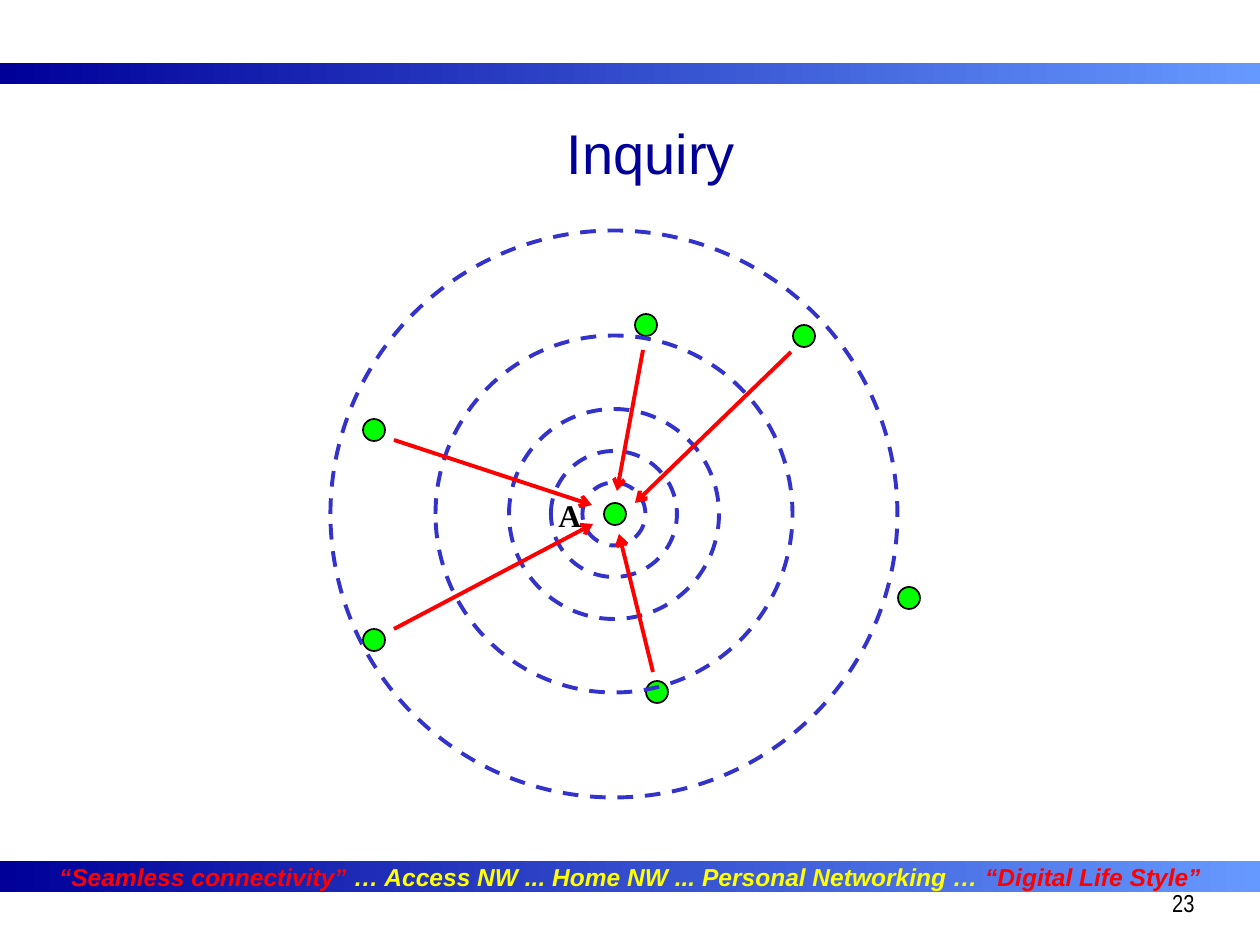
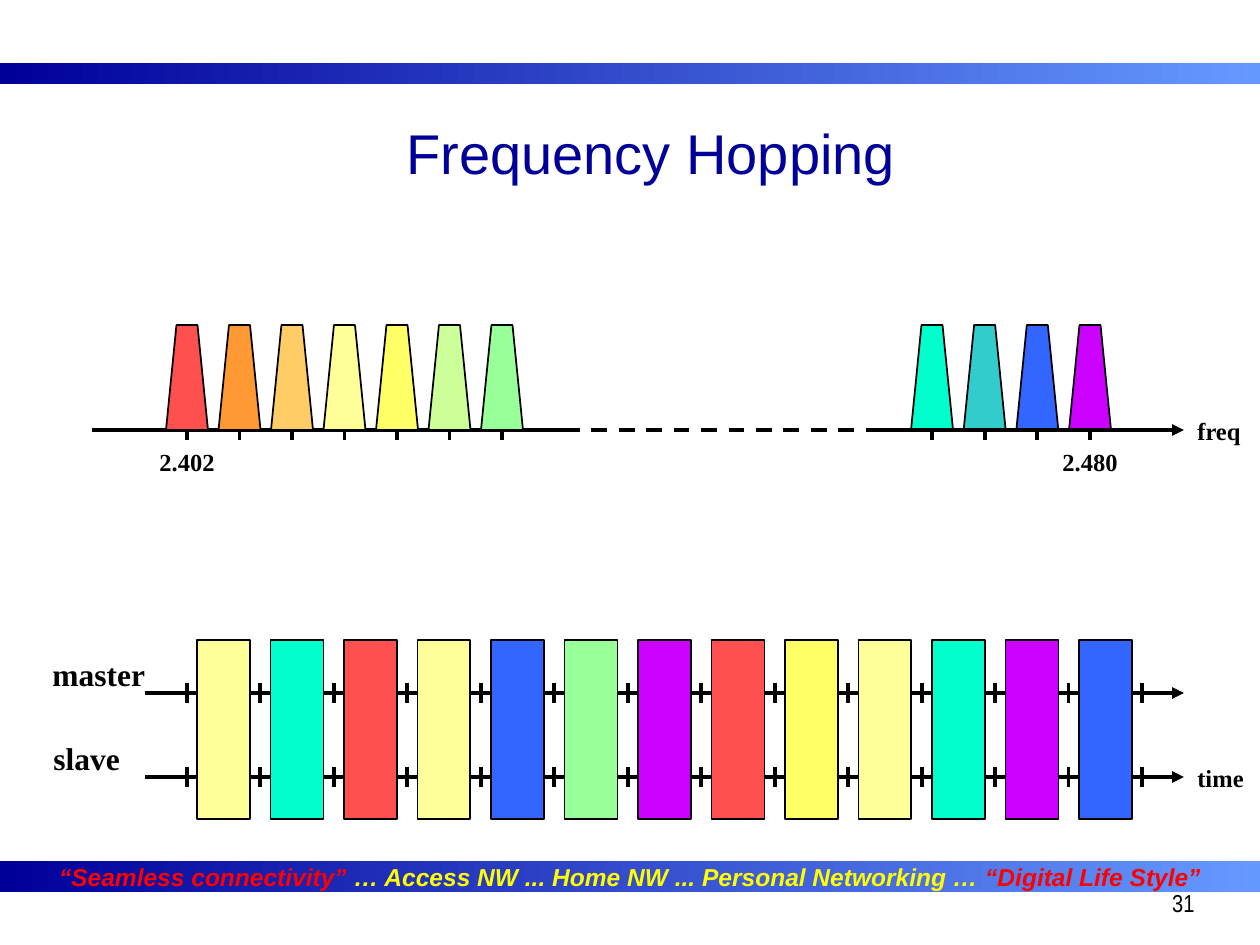
from dataclasses import dataclass

from lxml.etree import SubElement
from pptx import Presentation
from pptx.dml.color import RGBColor
from pptx.enum.dml import MSO_LINE_DASH_STYLE as Dash
from pptx.enum.shapes import MSO_CONNECTOR as Conn, MSO_SHAPE as Kind
from pptx.enum.text import MSO_ANCHOR as Anchor, MSO_AUTO_SIZE as Fit
from pptx.enum.text import PP_ALIGN as Align
from pptx.oxml.ns import qn
from pptx.util import Pt


@dataclass(frozen=True)
class Theme:
    navy: str = "000099"
    sky: str = "6699FF"
    ring: str = "3333CC"
    node: str = "00FF00"
    red: str = "FF0000"
    gold: str = "FFFF00"
    black: str = "000000"
    sans: str = "Arial"
    slim: str = "Arial Narrow"
    serif: str = "Times New Roman"
    head: int = 32
    label: int = 18
    small: int = 14
    thin: float = 1
    thick: float = 2.25


T = Theme()
SCALE = 914400 / 126  # EMU in one px
WIDE, HIGH = 1260, 945

# Shared parts
TOP_BAND = (0, 63, WIDE, 21)
LOW_BAND = (0, 861, WIDE, 31)
TITLE_BOX = (84, 116, 1134, 73)
PAGE_BOX = (945, 882, 262, 63)
MOTTO = [
    ("“Seamless connectivity”", T.red),
    (" … Access NW ... Home NW ... Personal Networking … ", T.gold),
    ("“Digital Life Style”", T.red),
]

# Inquiry: node centres, ring diameters, replies to A
NODES = [(804, 336), (374, 430), (646, 325), (615, 514),
         (909, 598), (657, 692), (374, 640)]
NODE_SIZE = 22
HUB = (614, 514)
RINGS = [63, 126, 210, 357, 567]
REPLIES = [
    ((394, 629), (593, 524)),
    ((394, 440), (592, 505)),
    ((653, 672), (619, 534)),
    ((643, 350), (617, 491)),
    ((791, 352), (635, 503)),
]
HUB_NAME = ("A", (546, 490, 48, 50), T.label)

# Frequency hopping: channel colours, then the order of hops
HUES = {
    "red": "FF5050", "orange": "FF9933", "peach": "FFCC66",
    "cream": "FFFF99", "yellow": "FFFF66", "lime": "CCFF99",
    "green": "99FF99", "mint": "00FFCC", "teal": "33CCCC",
    "blue": "3366FF", "violet": "CC00FF",
}
LOW = ["red", "orange", "peach", "cream", "yellow", "lime", "green"]
UPPER = ["mint", "teal", "blue", "violet"]
PEAKS = [(187, 502, LOW), (932, 1090, UPPER)]  # first and last centre
PEAK_TOP, FREQ_Y = 325, 430
HOPS = ["cream", "mint", "red", "cream", "blue", "green", "violet",
        "red", "yellow", "cream", "mint", "violet", "blue"]
HOP_ENDS = (197, 1079)
HOP_TOP, HOP_WIDE, HOP_HIGH = 640, 53, 179
SLOT_ENDS = (187, 1142)
TIME_ROWS = [693, 777]
AXIS_END = 1184
TICK = 10
NAMES = [
    ("2.402", (147, 441, 82, 43), T.small),
    ("2.480", (1050, 441, 82, 43), T.small),
    ("freq", (1185, 410, 69, 43), T.small),
    ("time", (1185, 757, 73, 43), T.small),
    ("slave", (41, 733, 92, 50), T.label),
    ("master", (40, 649, 120, 50), T.label),
]


def emu(*px):
    return [round(n * SCALE) for n in px]


def rgb(code):
    return RGBColor.from_string(code)


def spread(first, last, count):
    """Evenly spaced places from first to last."""
    step = (last - first) / (count - 1)
    return [first + step * i for i in range(count)]


def write(shape, runs, size, font, align=Align.LEFT, wrap=False,
          anchor=Anchor.TOP, bold=False, slant=False):
    """Put one paragraph of (text, colour) runs into a shape."""
    frame = shape.text_frame
    frame.word_wrap = wrap
    frame.vertical_anchor = anchor
    para = frame.paragraphs[0]
    para.alignment = align
    for text, hue in runs:
        run = para.add_run()
        run.text = text
        run.font.size = Pt(size)
        run.font.name = font
        run.font.bold = bold
        run.font.italic = slant
        run.font.color.rgb = rgb(hue)


def label(slide, text, box, size):
    shape = slide.shapes.add_textbox(*emu(*box))
    write(shape, [(text, T.black)], size, T.serif, bold=True)
    shape.text_frame.auto_size = Fit.SHAPE_TO_FIT_TEXT


def paint(shape, fill, edge, width):
    shape.shadow.inherit = False
    if fill:
        shape.fill.solid()
        shape.fill.fore_color.rgb = rgb(fill)
    else:
        shape.fill.background()
    shape.line.color.rgb = rgb(edge)
    shape.line.width = Pt(width)


def disc(slide, centre, size, fill, edge, width):
    x, y = centre
    box = emu(x - size / 2, y - size / 2, size, size)
    shape = slide.shapes.add_shape(Kind.OVAL, *box)
    paint(shape, fill, edge, width)
    return shape


def rule(slide, start, end, hue=T.black, tip=None, dash=False):
    """Draw a straight line, with an arrowhead of type tip at its end."""
    line = slide.shapes.add_connector(Conn.STRAIGHT, *emu(*start, *end))
    line.line.color.rgb = rgb(hue)
    line.line.width = Pt(T.thick)
    if dash:
        line.line.dash_style = Dash.DASH
    props = line._element.spPr
    if tip:
        SubElement(props.find(qn("a:ln")), qn("a:tailEnd"), type=tip)
    SubElement(props, qn("a:effectLst"))


def tick(slide, x, y):
    rule(slide, (x, y - TICK), (x, y + TICK))


def band(slide, box):
    shape = slide.shapes.add_shape(Kind.RECTANGLE, *emu(*box))
    shape.shadow.inherit = False
    shape.line.fill.background()
    shape.fill.gradient()
    shape.fill.gradient_angle = 0
    for stop, hue in zip(shape.fill.gradient_stops, (T.navy, T.sky)):
        stop.color.rgb = rgb(hue)
    return shape


def start(deck, title, page):
    """Add a slide with its bands, motto, title and page number."""
    slide = deck.slides.add_slide(deck.slide_layouts[6])
    band(slide, TOP_BAND)
    write(band(slide, LOW_BAND), MOTTO, T.small, T.sans, Align.CENTER,
          anchor=Anchor.MIDDLE, bold=True, slant=True)
    add = slide.shapes.add_textbox
    write(add(*emu(*TITLE_BOX)), [(title, T.navy)], T.head, T.sans,
          Align.CENTER, wrap=True, anchor=Anchor.MIDDLE)
    write(add(*emu(*PAGE_BOX)), [(page, T.black)], T.small, T.slim,
          Align.RIGHT, wrap=True)
    return slide


def peak(slide, x, hue):
    """Draw a channel: a tapered block standing on the axis."""
    points = [(x - 21, FREQ_Y), (x + 21, FREQ_Y),
              (x + 10.5, PEAK_TOP), (x - 10.5, PEAK_TOP)]
    first, *rest = [emu(*p) for p in points]
    form = slide.shapes.build_freeform(*first, scale=1)
    form.add_line_segments(rest, close=True)
    paint(form.convert_to_shape(), hue, T.black, T.thin)


def inquiry(deck):
    slide = start(deck, "Inquiry", "23")
    for spot in NODES:
        disc(slide, spot, NODE_SIZE, T.node, T.black, T.thin)
    for size in RINGS:
        ring = disc(slide, HUB, size, None, T.ring, T.thick)
        ring.line.dash_style = Dash.DASH
    for tail, head in REPLIES:
        rule(slide, tail, head, T.red, "arrow")
    label(slide, *HUB_NAME)


def hopping(deck):
    slide = start(deck, "Frequency Hopping", "31")
    rule(slide, (92, FREQ_Y), (564, FREQ_Y))
    for first, last, hues in PEAKS:
        for x, hue in zip(spread(first, last, len(hues)), hues):
            tick(slide, x, FREQ_Y)
            peak(slide, x, HUES[hue])
    rule(slide, (880, FREQ_Y), (AXIS_END, FREQ_Y), tip="triangle")
    rule(slide, (564, FREQ_Y), (880, FREQ_Y), dash=True)

    for y in TIME_ROWS:
        rule(slide, (145, y), (AXIS_END, y), tip="triangle")
        for x in spread(*SLOT_ENDS, len(HOPS) + 1):
            tick(slide, x, y)
    for x, hue in zip(spread(*HOP_ENDS, len(HOPS)), HOPS):
        box = emu(x, HOP_TOP, HOP_WIDE, HOP_HIGH)
        bar = slide.shapes.add_shape(Kind.RECTANGLE, *box)
        paint(bar, HUES[hue], T.black, T.thin)
    for name in NAMES:
        label(slide, *name)


def main():
    deck = Presentation()
    deck.slide_width, deck.slide_height = emu(WIDE, HIGH)
    inquiry(deck)
    hopping(deck)
    deck.save("out.pptx")


if __name__ == "__main__":
    main()
